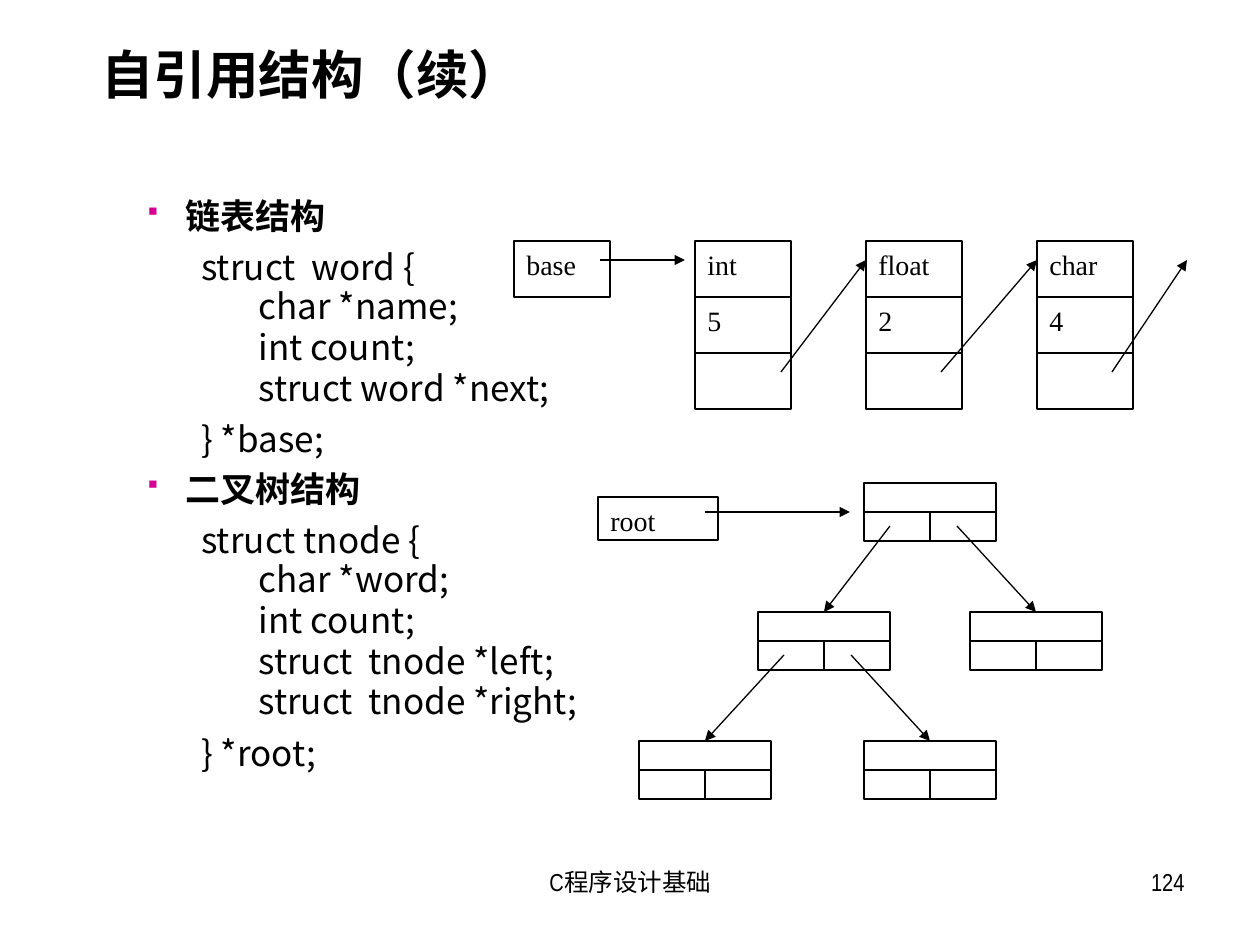
from dataclasses import dataclass

from lxml import etree
from pptx import Presentation
from pptx.dml.color import RGBColor
from pptx.enum.shapes import MSO_CONNECTOR, MSO_SHAPE
from pptx.enum.text import MSO_ANCHOR, PP_ALIGN
from pptx.oxml.ns import qn
from pptx.util import Pt

PX = 914400 / 126
RECT, STRAIGHT = MSO_SHAPE.RECTANGLE, MSO_CONNECTOR.STRAIGHT
TOP, MIDDLE = MSO_ANCHOR.TOP, MSO_ANCHOR.MIDDLE
LEFT, CENTER, RIGHT, JUSTIFY = (PP_ALIGN.LEFT, PP_ALIGN.CENTER,
                                PP_ALIGN.RIGHT, PP_ALIGN.JUSTIFY)


def emu(px):
    return round(px * PX)


def add_xml(parent, tag, **attrs):
    return etree.SubElement(parent, qn(tag), attrs)


@dataclass(frozen=True)
class Theme:
    ink: RGBColor = RGBColor(0, 0, 0)
    paper: RGBColor = RGBColor(255, 255, 255)
    bullet: str = "D60093"
    bullet_font: str = "Wingdings"
    heading_font: str = "Arial Narrow"
    code_font: str = "Noto Sans CJK SC"
    label_font: str = "Times New Roman"
    title_size: int = 30
    body_size: int = 20
    label_size: int = 16
    footer_size: int = 14
    line_width: float = 0.75


@dataclass
class Canvas:
    s: object
    theme: Theme

    def run(self, p, text, font, size, bold=False):
        r = p.add_run()
        r.text = text
        fmt = {"name": font, "size": Pt(size), "bold": bold}
        for key, value in fmt.items():
            setattr(r.font, key, value)
        r.font.color.rgb = self.theme.ink
        add_xml(r.font._element, "a:ea", typeface=self.theme.code_font)

    def frame(self, x, y, w, h, anchor=TOP):
        tf = self.s.shapes.add_textbox(*map(emu, (x, y, w, h))).text_frame
        tf.word_wrap = True
        tf.vertical_anchor = anchor
        return tf

    def text(self, box, text, font, size, align=LEFT, anchor=TOP,
             bold=False, spacing=1.0):
        p = self.frame(*box, anchor).paragraphs[0]
        p.alignment, p.line_spacing = align, spacing
        self.run(p, text, font, size, bold)

    def label(self, box, text):
        self.text(box, text, self.theme.label_font, self.theme.label_size, JUSTIFY)

    def rect(self, x, y, w, h):
        sp = self.s.shapes.add_shape(RECT, *map(emu, (x, y, w, h)))
        sp.shadow.inherit = False
        sp.fill.solid()
        sp.fill.fore_color.rgb = self.theme.paper
        sp.line.color.rgb = self.theme.ink
        sp.line.width = Pt(self.theme.line_width)

    def line(self, x1, y1, x2, y2, arrow=False):
        c = self.s.shapes.add_connector(STRAIGHT, *map(emu, (x1, y1, x2, y2)))
        c.line.color.rgb = self.theme.ink
        c.line.width = Pt(self.theme.line_width)
        if arrow:
            add_xml(c.line._get_or_add_ln(), "a:tailEnd", type="triangle")
        add_xml(c._element.spPr, "a:effectLst")

    def outline(self, box, items):
        """Lay out (level, text) pairs: 0 bulleted heading, 1 code, 2 code member."""
        t = self.theme
        levels = {
            0: dict(margin=38, indent=-38, spacing=0.7, before=12),
            1: dict(margin=95, indent=-41, spacing=0.7, before=12),
            2: dict(margin=111, indent=0, spacing=0.8, before=4),
        }
        tf = self.frame(*box)
        for i, (level, text) in enumerate(items):
            p = tf.paragraphs[0] if i == 0 else tf.add_paragraph()
            fmt = levels[level]
            p.line_spacing = fmt["spacing"]
            p.space_before = Pt(fmt["before"] if i else 0)
            pPr = p._p.get_or_add_pPr()
            pPr.set("marL", str(emu(fmt["margin"])))
            pPr.set("indent", str(emu(fmt["indent"])))
            if level == 0:
                add_xml(add_xml(pPr, "a:buClr"), "a:srgbClr", val=t.bullet)
                add_xml(pPr, "a:buSzPct", val="70000")
                add_xml(pPr, "a:buFont", typeface=t.bullet_font, charset="2")
                add_xml(pPr, "a:buChar", char="§")  # a small square in this font
            font = t.code_font if level else t.heading_font
            self.run(p, text, font, t.body_size, bold=level == 0)

    def list_node(self, x, y, w, row, labels):
        self.rect(x, y, w, 3 * row)
        for i, text in enumerate(labels):
            self.line(x, y + (i + 1) * row, x + w, y + (i + 1) * row)
            self.label((x, y + i * row, w, row), text)

    def tree_node(self, cx, y, half_w, row):
        self.rect(cx - half_w, y, 2 * half_w, 2 * row)
        self.line(cx - half_w, y + row, cx + half_w, y + row)
        self.line(cx, y + row, cx, y + 2 * row)


OUTLINE = [
    (0, "链表结构"),
    (1, "struct  word {"),
    (2, "char *name;"),
    (2, "int count;"),
    (2, "struct word *next;"),
    (1, "} *base;"),
    (0, "二叉树结构"),
    (1, "struct tnode {"),
    (2, "char *word;"),
    (2, "int count;"),
    (2, "struct  tnode *left;"),
    (2, "struct  tnode *right;"),
    (1, "} *root;"),
]


def draw_linked_list(c):
    top, w, row, first, pitch = 241, 96, 56, 695, 171
    base = (514, top, w, row)
    c.rect(*base)
    c.label(base, "base")
    for i, labels in enumerate([("int", "5"), ("float", "2"), ("char", "4")]):
        c.list_node(first + i * pitch, top, w, row, labels)
    c.line(600, 260, 685, 260, arrow=True)
    for x1, x2 in [(781, 866), (941, 1037), (1112, 1187)]:
        c.line(x1, 372, x2, 260, arrow=True)


def draw_tree(c):
    top, pitch, half_w, row = 483, 129, 66, 29
    root = (598, 497, 120, 43)
    c.rect(*root)
    c.label(root, "root")
    levels = [(930,), (824, 1036), (705, 930)]
    for depth, centers in enumerate(levels):
        for cx in centers:
            c.tree_node(cx, top + depth * pitch, half_w, row)
    # The first node of each level points to both nodes of the next
    for depth, children in enumerate(levels[1:]):
        y = top + depth * pitch
        for offset, child in zip((-40, 27), children):
            c.line(levels[depth][0] + offset, y + 43, child, y + pitch, arrow=True)
    c.line(705, 512, 850, 512, arrow=True)


def main():
    prs = Presentation()
    prs.slide_width, prs.slide_height = emu(1260), emu(945)
    t = Theme()
    c = Canvas(prs.slides.add_slide(prs.slide_layouts[6]), t)
    c.text((431, 861, 399, 66), "C程序设计基础", t.heading_font, t.footer_size, CENTER)
    c.text((903, 861, 294, 66), "124", t.heading_font, t.footer_size, RIGHT)
    c.text((89, 21, 1129, 116), "自引用结构（续）", t.heading_font, t.title_size,
           anchor=MIDDLE, bold=True, spacing=0.8)
    c.outline((135, 200, 979, 627), OUTLINE)
    draw_linked_list(c)
    draw_tree(c)
    prs.save("out.pptx")


if __name__ == "__main__":
    main()
